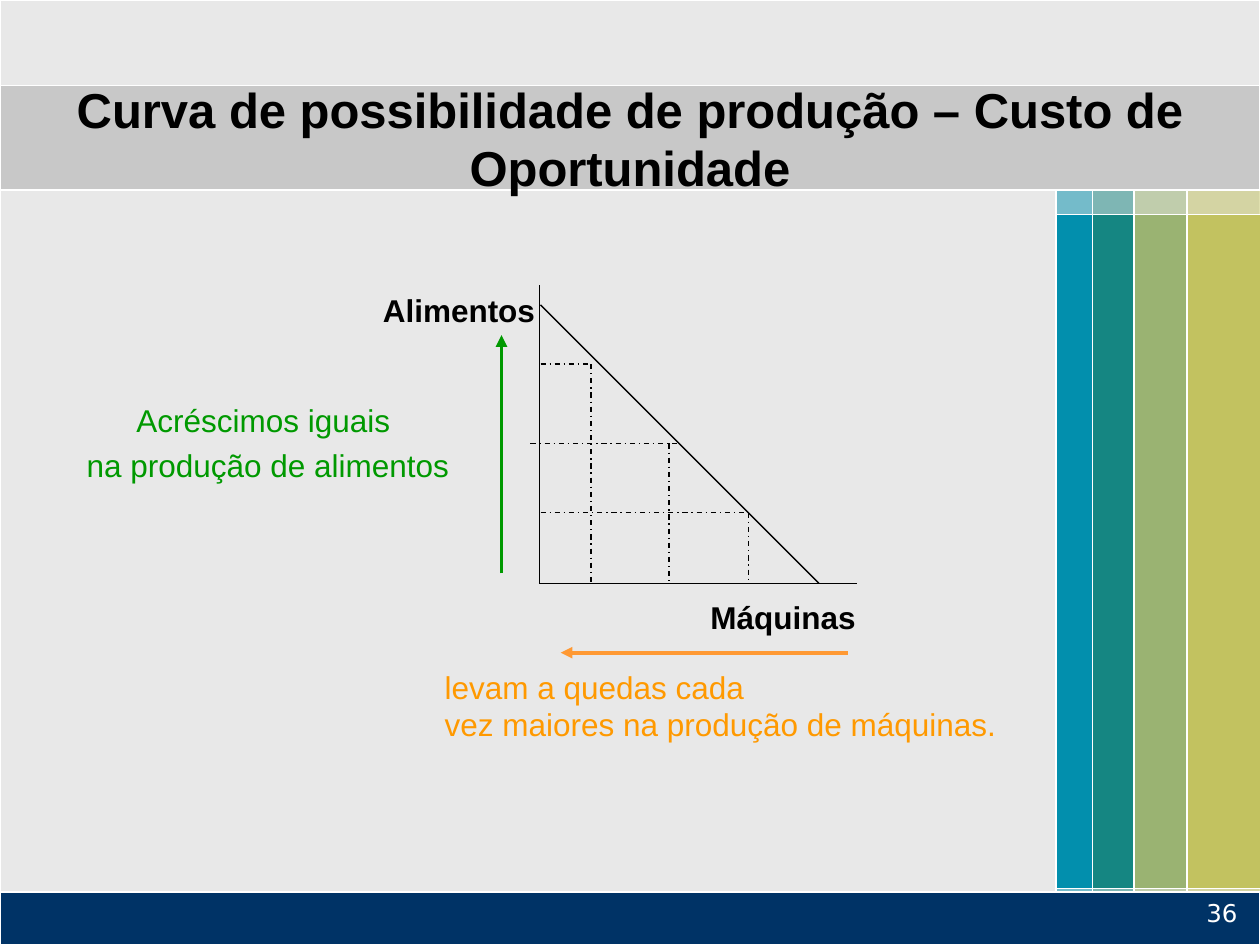
"""Build the slide on the production possibility curve and opportunity cost."""
import pptx
import pptx.dml.color
import pptx.enum.dml
import pptx.enum.shapes
import pptx.enum.text
import pptx.oxml
import pptx.oxml.ns
import pptx.util

Inches = pptx.util.Inches
Pt = pptx.util.Pt
Align = pptx.enum.text.PP_ALIGN
AutoSize = pptx.enum.text.MSO_AUTO_SIZE

COLORS = {
    "background": "E8E8E8", "band": "C8C8C8", "footer": "003366",
    "white": "FFFFFF", "black": "000000",
    "blue": "028FAD", "teal": "158682", "green": "9AB372", "olive": "C2C260",
    "food": "009900", "machine_arrow": "FF9933", "machine_text": "FF9900",
}
TITLE = "Curva de possibilidade de produção – Custo de Oportunidade"
TITLE_BAND = (0, 0.68, 10, 0.83)
STRIPES = [("olive", 9.42, 0.59), ("green", 9, 0.42), ("teal", 8.67, 0.33), ("blue", 8.38, 0.29)]
LABELS = [
    (["Alimentos"], (2.94, 2.26, 1.41, 0.4), "black", True, Align.LEFT, 0),
    (["Máquinas"], (5.54, 4.7, 1.35, 0.4), "black", True, Align.LEFT, 0),
    (["Acréscimos iguais ", "na produção de alimentos"],
     (0.57, 3.13, 3.11, 0.77), "food", False, Align.CENTER, 4.5),
    (["levam a quedas cada", "vez maiores na produção de máquinas."],
     (3.43, 5.25, 4.58, 0.7), "machine_text", False, Align.LEFT, 0),
]
AXIS_LEFT, AXIS_BOTTOM = 4.28, 4.63
AXIS_ENDS = [(AXIS_LEFT, 2.26), (6.8, AXIS_BOTTOM)]
CURVE = [(4.29, 2.42), (6.5, AXIS_BOTTOM)]
ARROWS = [((3.98, 4.55), (3.98, 2.66), "food"), ((6.73, 5.18), (4.45, 5.18), "machine_arrow")]
GUIDES = [(4.29, 4.69, 4.69, 2.89), (4.21, 5.39, 5.31, 3.52), (4.29, 5.94, 5.94, 4.07)]


def rgb(name):
    return pptx.dml.color.RGBColor.from_string(COLORS[name])


def xml(tag, attributes=""):
    namespace = pptx.oxml.ns.nsdecls("a")
    return pptx.oxml.parse_xml(f"<a:{tag} {namespace} {attributes}/>")


def add_panel(slide, box, color, alpha=None):
    shape = slide.shapes.add_shape(
        pptx.enum.shapes.MSO_SHAPE.RECTANGLE, *map(Inches, box))
    shape.shadow.inherit = False
    shape.fill.solid()
    shape.fill.fore_color.rgb = rgb(color)
    shape.line.color.rgb = rgb("white")
    shape.line.width = Pt(0.75)
    if alpha:
        fill_color = shape.element.spPr.find(".//" + pptx.oxml.ns.qn("a:srgbClr"))
        fill_color.append(xml("alpha", f'val="{alpha * 1000}"'))


def add_line(slide, start, end, color="black", width=0.75, dashed=False, arrow=False):
    line = slide.shapes.add_connector(
        pptx.enum.shapes.MSO_CONNECTOR.STRAIGHT, *map(Inches, start + end))
    line.line.color.rgb = rgb(color)
    line.line.width = Pt(width)
    if dashed:
        line.line.dash_style = pptx.enum.dml.MSO_LINE.DASH_DOT
    if arrow:
        outline = line.element.spPr.find(pptx.oxml.ns.qn("a:ln"))
        outline.append(xml("tailEnd", 'type="triangle"'))
    line.element.spPr.append(xml("effectLst"))


def add_curve(slide):
    start, end = [tuple(map(Inches, point)) for point in CURVE]
    builder = slide.shapes.build_freeform(*start)
    builder.add_line_segments([end], close=False)
    curve = builder.convert_to_shape()
    curve.shadow.inherit = False
    curve.fill.background()
    curve.line.color.rgb = rgb("black")
    curve.line.width = Pt(0.75)


def write_text(shape, lines, size, color, bold, align, gap=0, font="Arial"):
    frame = shape.text_frame
    frame.text = "\n".join(lines)
    for index, paragraph in enumerate(frame.paragraphs):
        paragraph.alignment = align
        paragraph.space_before = Pt(gap if index else 0)
        for run in paragraph.runs:
            run.font.name = font
            run.font.size = Pt(size)
            run.font.bold = bold
            run.font.color.rgb = rgb(color)


def add_template(slide):
    add_panel(slide, (0, 0, 10, 7.5), "background")
    for color, left, width in STRIPES:
        add_panel(slide, (left, 1.42, width, 5.83), color, alpha=50)
    add_panel(slide, (0, 7.08, 10, 0.42), "footer")
    add_panel(slide, TITLE_BAND, "band")
    for color, left, width in STRIPES:
        add_panel(slide, (left, 1.7, width, 5.35), color)


def add_diagram(slide):
    for end in AXIS_ENDS:
        add_line(slide, (AXIS_LEFT, AXIS_BOTTOM), end)
    for start, end, color in ARROWS:
        add_line(slide, start, end, color, width=2.25, arrow=True)
    add_curve(slide)
    for left, right, drop, level in GUIDES:
        add_line(slide, (left, level), (right, level), dashed=True)
        add_line(slide, (drop, level), (drop, AXIS_BOTTOM), dashed=True)
    for lines, box, color, bold, align, gap in LABELS:
        label = slide.shapes.add_textbox(*map(Inches, box))
        write_text(label, lines, 18, color, bold, align, gap)
        label.text_frame.word_wrap = False
        label.text_frame.auto_size = AutoSize.SHAPE_TO_FIT_TEXT


def add_title_and_number(slide):
    title = slide.shapes.title
    title.left, title.top, title.width, title.height = map(Inches, TITLE_BAND)
    write_text(title, [TITLE], 28, "black", True, Align.CENTER)
    title.text_frame.auto_size = AutoSize.NONE
    title.text_frame.vertical_anchor = pptx.enum.text.MSO_ANCHOR.MIDDLE
    title.element.getparent().append(title.element)
    number = slide.shapes.add_textbox(*map(Inches, (9.25, 7.08, 0.67, 0.5)))
    number.text_frame.word_wrap = True
    write_text(number, ["36"], 14, "white", False, Align.RIGHT, font="DejaVu Sans")


def main():
    presentation = pptx.Presentation()
    presentation.slide_width = Inches(10)
    presentation.slide_height = Inches(7.5)
    slide = presentation.slides.add_slide(presentation.slide_layouts[5])
    add_template(slide)
    add_diagram(slide)
    add_title_and_number(slide)
    presentation.save("out.pptx")


if __name__ == "__main__":
    main()
